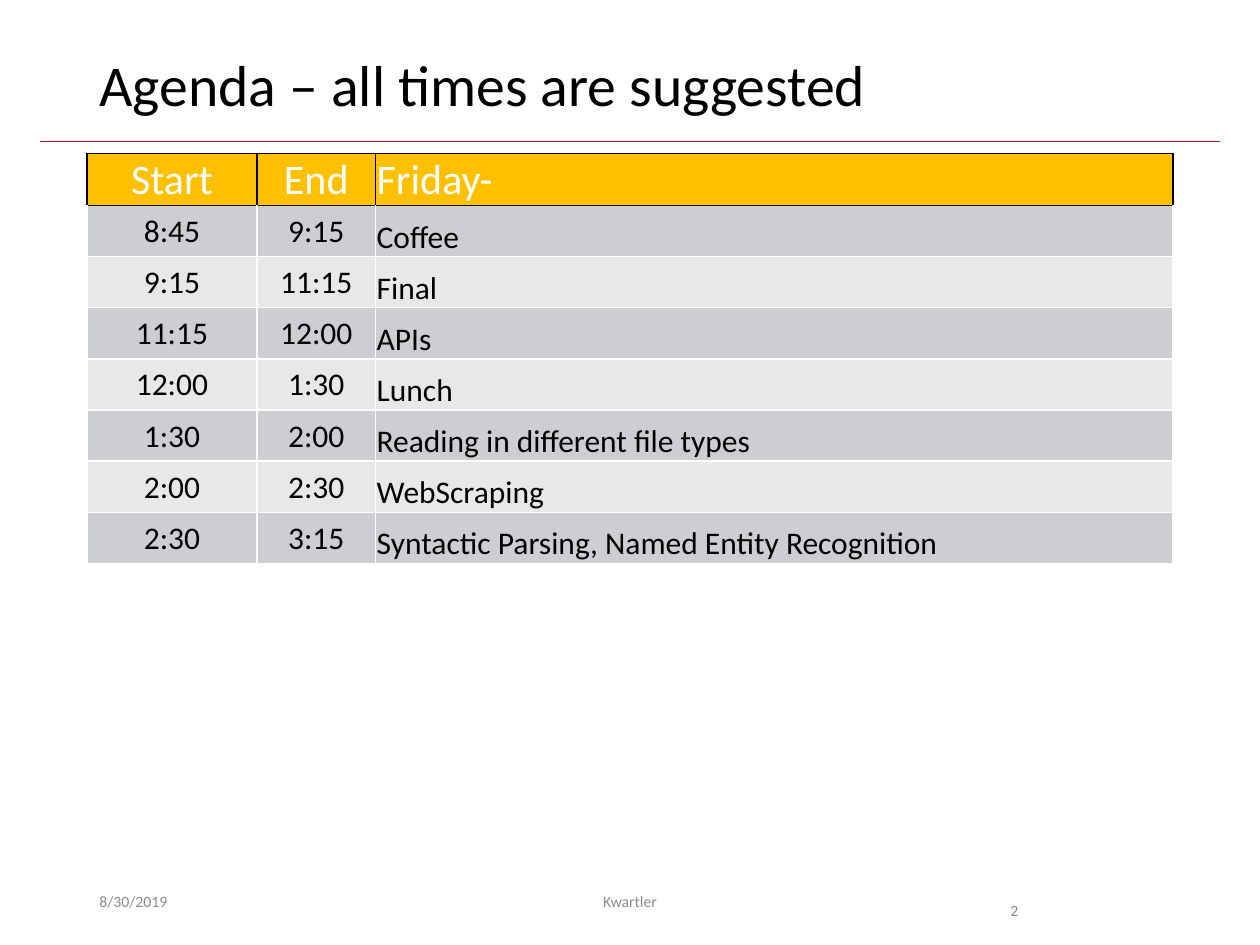
from lxml import etree
from pptx import Presentation
from pptx.dml.color import RGBColor
from pptx.enum.shapes import MSO_CONNECTOR
from pptx.enum.text import MSO_ANCHOR, PP_ALIGN
from pptx.oxml.ns import qn
from pptx.util import Inches, Pt

LEFT, CENTER = PP_ALIGN.LEFT, PP_ALIGN.CENTER
TOP, MIDDLE, BOTTOM = MSO_ANCHOR.TOP, MSO_ANCHOR.MIDDLE, MSO_ANCHOR.BOTTOM
STRAIGHT = MSO_CONNECTOR.STRAIGHT

FONT = "Calibri"
BLACK, WHITE, GRAY = "000000", "FFFFFF", "8C8C8C"
RULE, GOLD = "A51C30", "FFC000"
BANDS = ("CDCED1", "E8E8E9")
WIDTHS = (1.35, 0.94, 6.33)
HEIGHT = 3.25
INSETS = {"margin_left": Inches(0.01), "margin_right": Inches(0.01),
          "margin_top": Inches(0.01), "margin_bottom": 0}
AGENDA = (
    ("Start", "End", "Friday-"),
    ("8:45", "9:15", "Coffee"),
    ("9:15", "11:15", "Final"),
    ("11:15", "12:00", "APIs"),
    ("12:00", "1:30", "Lunch"),
    ("1:30", "2:00", "Reading in different file types"),
    ("2:00", "2:30", "WebScraping"),
    ("2:30", "3:15", "Syntactic Parsing, Named Entity Recognition"),
)


def color(code):
    return RGBColor.from_string(code)


def apply(target, values):
    for name, value in values.items():
        setattr(target, name, value)


def write(frame, text, size, code, align=LEFT, spacing=1.0):
    para = frame.paragraphs[0]
    apply(para, {"alignment": align, "line_spacing": spacing})
    run = para.add_run()
    run.text = text
    apply(run.font, {"name": FONT, "size": Pt(size), "bold": False})
    run.font.color.rgb = color(code)


def add_text(slide, place, text, size, code, align=LEFT, anchor=TOP, spacing=1.0):
    box = slide.shapes.add_textbox(*map(Inches, place))
    apply(box.text_frame, {"word_wrap": True, "vertical_anchor": anchor})
    write(box.text_frame, text, size, code, align, spacing)


def add_rule(slide, left, right, y):
    rule = slide.shapes.add_connector(
        STRAIGHT, Inches(left), Inches(y), Inches(right), Inches(y))
    rule.line.color.rgb = color(RULE)
    rule.line.width = Pt(0.5)
    etree.SubElement(rule._element.spPr, qn("a:effectLst"))


def add_border(cell, side, code):
    props = cell._tc.get_or_add_tcPr()
    line = etree.SubElement(props, qn(f"a:ln{side}"), w=str(Pt(1)))
    fill = etree.SubElement(line, qn("a:solidFill"))
    etree.SubElement(fill, qn("a:srgbClr"), val=code)


def fill_cell(cell, text, row, col):
    head = row == 0
    apply(cell, INSETS)
    cell.vertical_anchor = BOTTOM if col == 2 and not head else MIDDLE
    for side in "LRTB":
        dark = head or (row == 1 and side == "T")
        add_border(cell, side, BLACK if dark else WHITE)
    cell.fill.solid()
    cell.fill.fore_color.rgb = color(GOLD if head else BANDS[(row - 1) % 2])
    write(cell.text_frame, text, 24 if head else 18,
          WHITE if head else BLACK, LEFT if col == 2 else CENTER)


def add_agenda(slide, left, top):
    table = slide.shapes.add_table(
        len(AGENDA), len(WIDTHS), Inches(left), Inches(top),
        Inches(sum(WIDTHS)), Inches(HEIGHT)).table
    for column, width in zip(table.columns, WIDTHS):
        column.width = Inches(width)
    for row, texts in enumerate(AGENDA):
        for col, text in enumerate(texts):
            fill_cell(table.cell(row, col), text, row, col)


def main():
    deck = Presentation()
    apply(deck, {"slide_width": Inches(10), "slide_height": Inches(7.5)})
    slide = deck.slides.add_slide(deck.slide_layouts[6])
    add_rule(slide, 0.32, 9.68, 1.12)
    add_text(slide, (0.69, 0.4, 8.62, 0.65), "Agenda – all times are suggested",
             33, BLACK, spacing=0.9)
    add_agenda(slide, 0.69, 1.22)
    for left, width, text, align, anchor, spacing in (
        (0.69, 2.25, "8/30/2019", LEFT, MIDDLE, 1.0),
        (3.31, 3.38, "Kwartler", CENTER, MIDDLE, 1.0),
        (7.92, 0.94, "2", LEFT, TOP, 2.0),
    ):
        add_text(slide, (left, 6.95, width, 0.4), text, 9, GRAY, align, anchor, spacing)
    deck.save("out.pptx")


if __name__ == "__main__":
    main()
